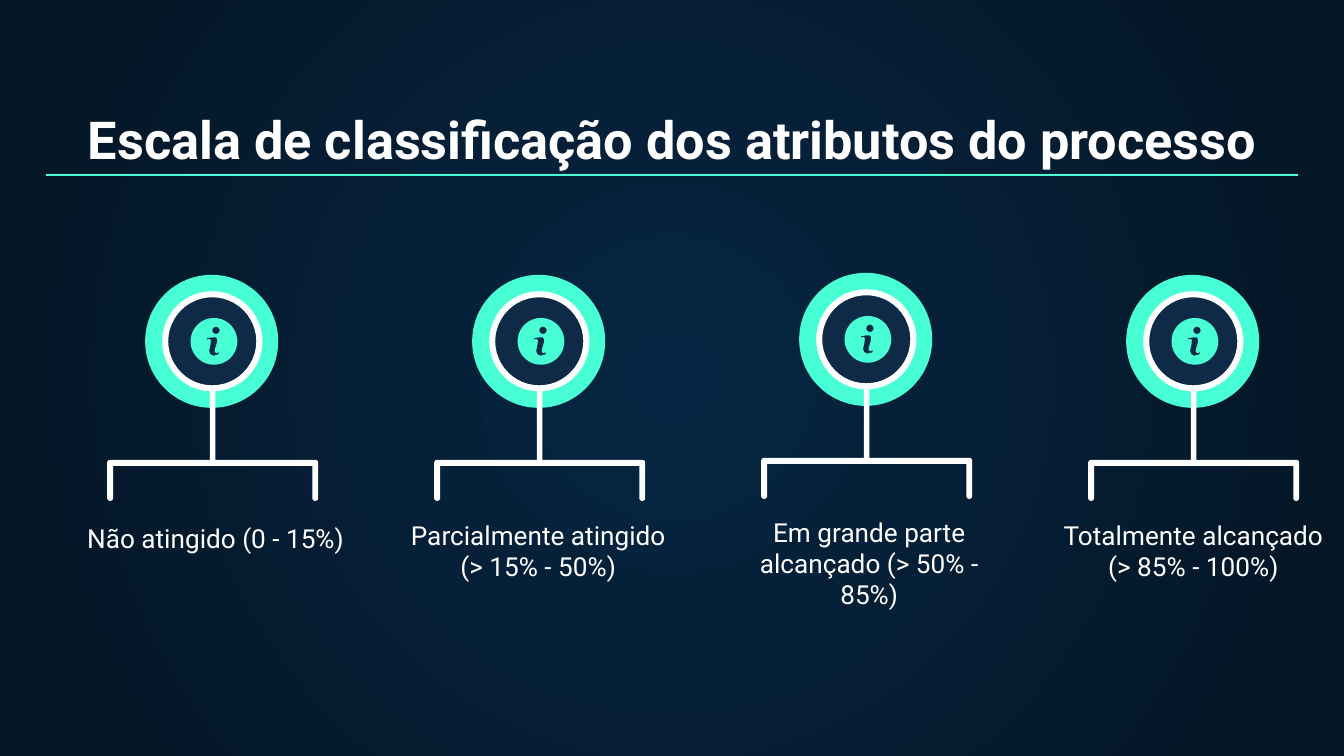
from dataclasses import dataclass
from math import cos, radians, sin

from lxml.etree import SubElement
from pptx import Presentation
from pptx.dml.color import RGBColor
from pptx.enum.shapes import MSO_CONNECTOR, MSO_SHAPE
from pptx.enum.text import MSO_ANCHOR, PP_ALIGN
from pptx.oxml.ns import qn
from pptx.slide import Slide
from pptx.util import Inches, Pt

Point = tuple[float, float]


@dataclass(frozen=True)
class Theme:
    """Colours, type and line sizes."""
    font: str = "Roboto"
    white: str = "FFFFFF"
    mint: str = "48FFD5"
    navy: str = "0E2A47"
    glow: str = "052643"
    edge: str = "041523"
    title: float = 28
    label: float = 14
    rule: float = 0.75


@dataclass(frozen=True)
class Level:
    """One step of the rating scale, with its label's place."""
    text: str
    left: float
    base: float
    rise: float = 0


THEME = Theme()
COLS, ROWS = 100, 56.25
FIRST, STEP, AXIS = 15.8, 24.33, 25.4
LEVELS = (
    Level("Não atingido (0 - 15%)", 4.7, 42.2),
    Level("Parcialmente atingido (> 15% - 50%)", 28.7, 44.3),
    Level("Em grande parte alcançado (> 50% - 85%)", 53.33, 46.4, 0.15),
    Level("Totalmente alcançado (> 85% - 100%)", 77.45, 44.3),
)
STROKE = (
    (-0.05, -0.3), (0.15, -0.3), (0.25, -0.1), (0.22, 0.1), (0.07, 0.6),
    (0.05, 0.8), (0.2, 0.87), (0.38, 0.8), (0.33, 0.97), (-0.05, 1.07),
    (-0.28, 0.95), (-0.36, 0.7), (-0.25, 0.2), (-0.23, -0.1),
    (-0.35, -0.18), (-0.53, -0.13), (-0.5, -0.25),
)


def grid(cells: float) -> int:
    """Turn grid cells, a tenth of an inch each, into a length."""
    return Inches(cells / 10)


def paint(shape, color: str) -> None:
    """Fill a shape flat, with no outline or shadow."""
    shape.shadow.inherit = False
    shape.fill.solid()
    shape.fill.fore_color.rgb = RGBColor.from_string(color)
    shape.line.fill.background()


def form(slide: Slide, kind: MSO_SHAPE, x: float, y: float, wide: float,
         high: float, color: str, bend: float | None = None) -> None:
    """Draw a preset shape around a centre."""
    shape = slide.shapes.add_shape(kind, grid(x - wide / 2), grid(y - high / 2),
                                   grid(wide), grid(high))
    if bend is not None:
        shape.adjustments[0] = bend
    paint(shape, color)


def arc(x: float, y: float, r: float, start: int = 0, end: int = 360) -> list[Point]:
    """List points along an arc, clockwise in degrees."""
    count = max(6, abs(end - start) // 8)
    turns = [radians(start + (end - start) * i / count) for i in range(count + 1)]
    return [(x + r * cos(t), y + r * sin(t)) for t in turns]


def trace(slide: Slide, x: float, y: float, loops: list[list[Point]], color: str) -> None:
    """Draw closed loops around a centre as one outline."""
    loops = [[(grid(x + a), grid(y + b)) for a, b in loop] for loop in loops]
    pen = slide.shapes.build_freeform(*loops[0][0])
    for i, loop in enumerate(loops):
        if i:
            pen.move_to(*loop[0])
        pen.add_line_segments(loop[1:], close=True)
    paint(pen.convert_to_shape(), color)


def write(slide: Slide, text: str, *, left: float, base: float, wide: float,
          high: float, size: float, bold: bool = False) -> None:
    """Write centred text that stands on the base of its box."""
    box = slide.shapes.add_textbox(grid(left), grid(base - high), grid(wide), grid(high))
    frame = box.text_frame
    frame.word_wrap = True
    frame.vertical_anchor = MSO_ANCHOR.BOTTOM
    frame.margin_left = frame.margin_right = grid(1)
    frame.margin_top = frame.margin_bottom = grid(1)
    line = frame.paragraphs[0]
    line.alignment = PP_ALIGN.CENTER
    run = line.add_run()
    run.text = text
    font = run.font
    font.name, font.size, font.bold = THEME.font, Pt(size), bold
    font.color.rgb = RGBColor.from_string(THEME.white)


def rule(slide: Slide, y: float, inset: float) -> None:
    """Draw the line below the title."""
    line = slide.shapes.add_connector(MSO_CONNECTOR.STRAIGHT, grid(inset), grid(y),
                                      grid(COLS - inset), grid(y))
    line.line.color.rgb = RGBColor.from_string(THEME.mint)
    line.line.width = Pt(THEME.rule)
    SubElement(line._element.spPr, qn("a:effectLst"))


def glow(slide: Slide) -> None:
    """Set a round gradient as the background."""
    fill = slide.background.fill
    fill.gradient()
    for stop, color in zip(fill.gradient_stops, (THEME.glow, THEME.edge)):
        stop.color.rgb = RGBColor.from_string(color)
    grad = next(slide._element.iter(qn("a:gradFill")))
    grad.remove(grad.find(qn("a:lin")))
    ring = SubElement(grad, qn("a:path"), path="circle")
    SubElement(ring, qn("a:fillToRect"), l="50000", t="50000", r="50000", b="50000")


def fork(slide: Slide, x: float, y: float) -> None:
    """Draw the bracket with round ends above a label."""
    half, bar, drop, r = 7.85, 0.44, 3.05, 0.22
    right = (arc(half - r, r, r, -90, 0) + arc(half - r, drop - r, r, 0, 180)
             + [(half - bar, bar)])
    left = [(-a, b) for a, b in reversed(right)]
    trace(slide, x, y, [right + left], THEME.white)


def mark(slide: Slide, x: float, y: float) -> None:
    """Draw the badge with an open letter i."""
    loops = [arc(0, 0, 1.74), arc(0.15, -0.82, 0.27), list(STROKE)]
    trace(slide, x, y, loops, THEME.mint)


def draw(slide: Slide, level: Level, x: float) -> None:
    """Draw one level: bracket, medal and label."""
    y = AXIS - level.rise
    fork(slide, x + 0.03, y + 8.82)
    form(slide, MSO_SHAPE.OVAL, x - 0.05, y, 9.9, 9.9, THEME.mint)
    form(slide, MSO_SHAPE.ROUNDED_RECTANGLE, x + 0.02, y + 4.25, 0.42, 10,
         THEME.white, 0.5)
    form(slide, MSO_SHAPE.OVAL, x, y, 7, 7, THEME.navy)
    form(slide, MSO_SHAPE.DONUT, x, y, 7.45, 7.45, THEME.white, 0.06)
    mark(slide, x + 0.12, y)
    write(slide, level.text, left=level.left, base=level.base, wide=22.7, high=2.1,
          size=THEME.label)


def main() -> None:
    """Build and save the slide."""
    deck = Presentation()
    deck.slide_width, deck.slide_height = grid(COLS), grid(ROWS)
    slide = deck.slides.add_slide(deck.slide_layouts[6])
    glow(slide)
    write(slide, "Escala de classificação dos atributos do processo", left=3.4,
          base=13.65, wide=93.2, high=6.6, size=THEME.title, bold=True)
    rule(slide, 13.02, 3.4)
    for i, level in enumerate(LEVELS):
        draw(slide, level, FIRST + i * STEP)
    deck.save("out.pptx")


if __name__ == "__main__":
    main()
